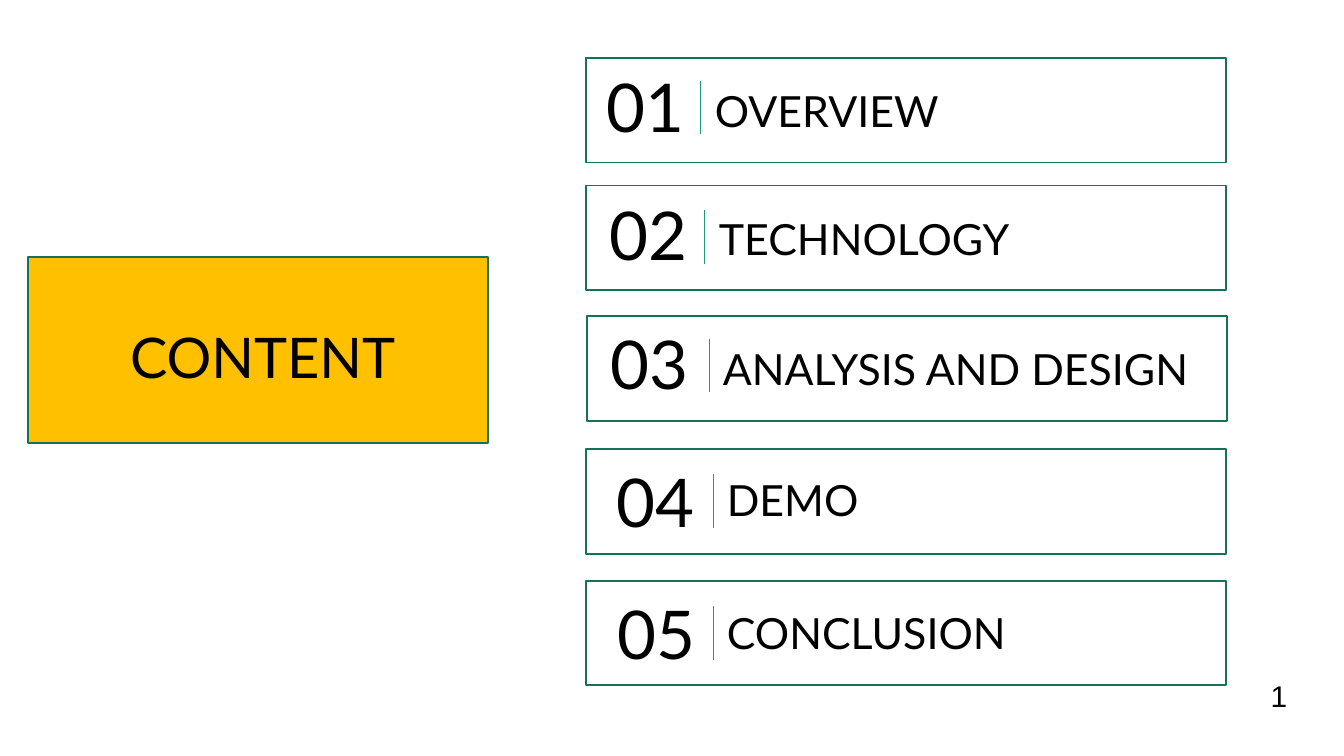
from pptx import Presentation
from pptx.dml.color import RGBColor
from pptx.enum.shapes import MSO_CONNECTOR as Connector, MSO_SHAPE as Shape
from pptx.enum.text import MSO_ANCHOR as Anchor, PP_ALIGN as Align
from pptx.oxml.ns import qn
from pptx.util import Inches, Pt
from lxml.etree import SubElement

COLORS = {"panel": "FFFFFF", "banner": "FFC000", "border": "157259",
          "divider": "1D9A78", "text": "000000"}

deck = Presentation()
deck.slide_width = Inches(10)
deck.slide_height = deck.slide_width * 9 // 16
col = deck.slide_width / 100
row = deck.slide_height / 56.25
slide = deck.slides.add_slide(deck.slide_layouts[6])


def add_panel(left, top, width, height, fill):
    panel = slide.shapes.add_shape(
        Shape.RECTANGLE, int(left * col), int(top * row), int(width * col), int(height * row))
    panel.shadow.inherit = False
    panel.fill.solid()
    panel.fill.fore_color.rgb = RGBColor.from_string(COLORS[fill])
    panel.line.color.rgb = RGBColor.from_string(COLORS["border"])
    panel.line.width = Pt(1)


def add_label(words, left, top, width, height, size, align=Align.LEFT,
              anchor=Anchor.MIDDLE, font="Lato", spacing=0.9, inset=0.1):
    label = slide.shapes.add_textbox(
        int(left * col), int(top * row), int(width * col), int(height * row))
    frame = label.text_frame
    frame_format = {"word_wrap": True, "vertical_anchor": anchor,
                    "margin_left": Inches(0.1), "margin_right": Inches(0.1),
                    "margin_top": Inches(inset), "margin_bottom": Inches(inset)}
    for name, value in frame_format.items():
        setattr(frame, name, value)
    line = frame.paragraphs[0]
    line.alignment, line.line_spacing = align, spacing
    run = line.add_run()
    run.text = words
    for name, value in {"name": font, "size": Pt(size)}.items():
        setattr(run.font, name, value)
    run.font.color.rgb = RGBColor.from_string(COLORS["text"])


add_panel(2.1, 19.15, 34.2, 13.8, "banner")
add_label("CONTENT", 6.6, 20.7, 25.9, 12.3, 30, Align.CENTER)

agenda = [
    ("OVERVIEW", (43.6, 4.3), (39.8, 5.1, 12.1, Align.RIGHT), (52.15, 6), (52.2, 4.9, 52.1)),
    ("TECHNOLOGY", (43.6, 13.8), (40, 14.6, 12.1, Align.RIGHT), (52.4, 15.65), (52.5, 14.4, 34.2)),
    ("ANALYSIS AND DESIGN", (43.7, 23.5), (40.1, 24.2, 12.1, Align.RIGHT), (52.8, 25.2), (52.8, 24.1, 43.5)),
    ("DEMO", (43.6, 33.4), (44.9, 34.5, 11.7, Align.LEFT), (53.1, 35.3), (53.1, 33.8, 39.4)),
    ("CONCLUSION", (43.6, 43.2), (45, 44.3, 11.7, Align.LEFT), (53.1, 45.1), (53.1, 43.7, 34.2)),
]
for number, (topic, panel_at, number_at, divider_at, topic_at) in enumerate(agenda, 1):
    add_panel(*panel_at, 47.6, 7.8, "panel")
    number_left, number_top, number_width, number_align = number_at
    add_label(f"{number:02}", number_left, number_top, number_width, 6.3, 36, number_align)
    divider_x, divider_top = divider_at
    divider = slide.shapes.add_connector(
        Connector.STRAIGHT, int(divider_x * col), int(divider_top * row),
        int(divider_x * col), int((divider_top + 4) * row))
    divider.line.color.rgb = RGBColor.from_string(COLORS["divider"])
    divider.line.width = Pt(0.5)
    SubElement(divider._element.spPr, qn("a:effectLst"))
    add_label(topic, *topic_at, 6.3, 23, anchor=Anchor.BOTTOM)

add_label("1", 92.8, 49.9, 4.7, 3.7, 16, Align.CENTER, Anchor.TOP, "Arial", 1, 0.05)

deck.save("out.pptx")
